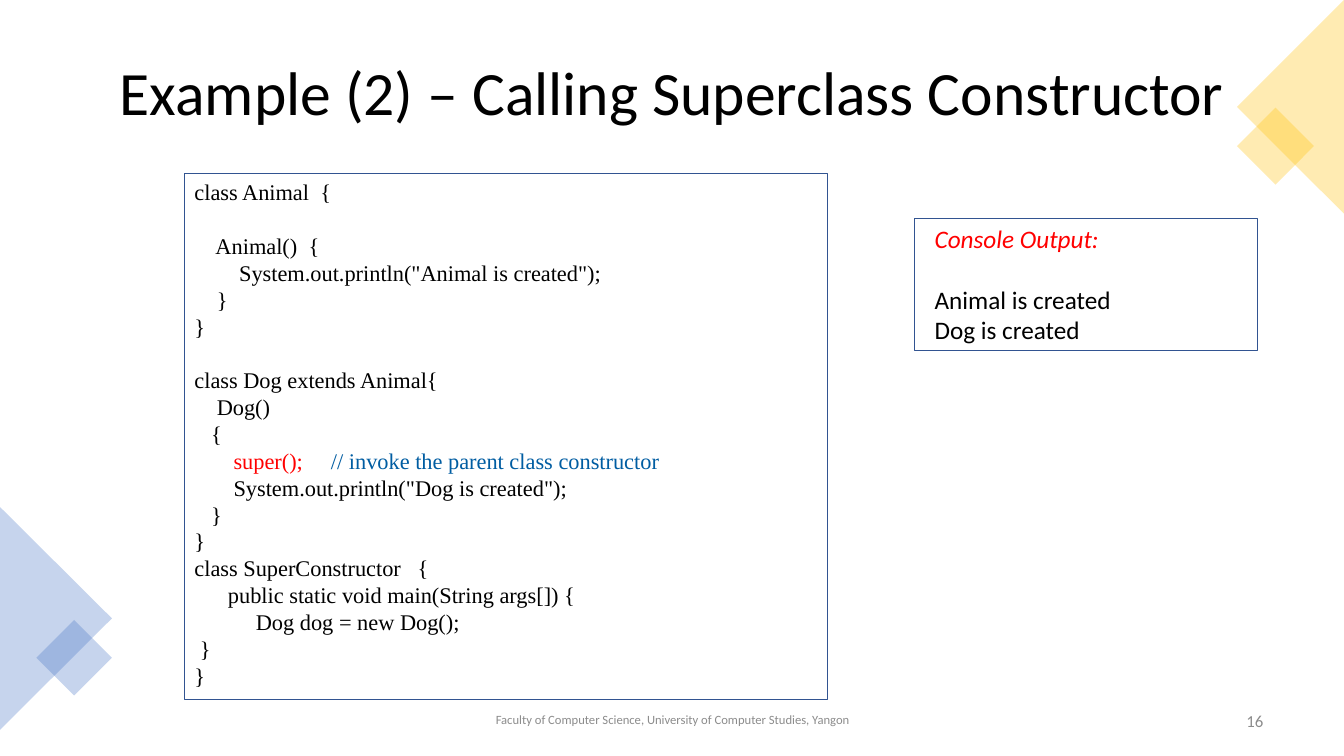
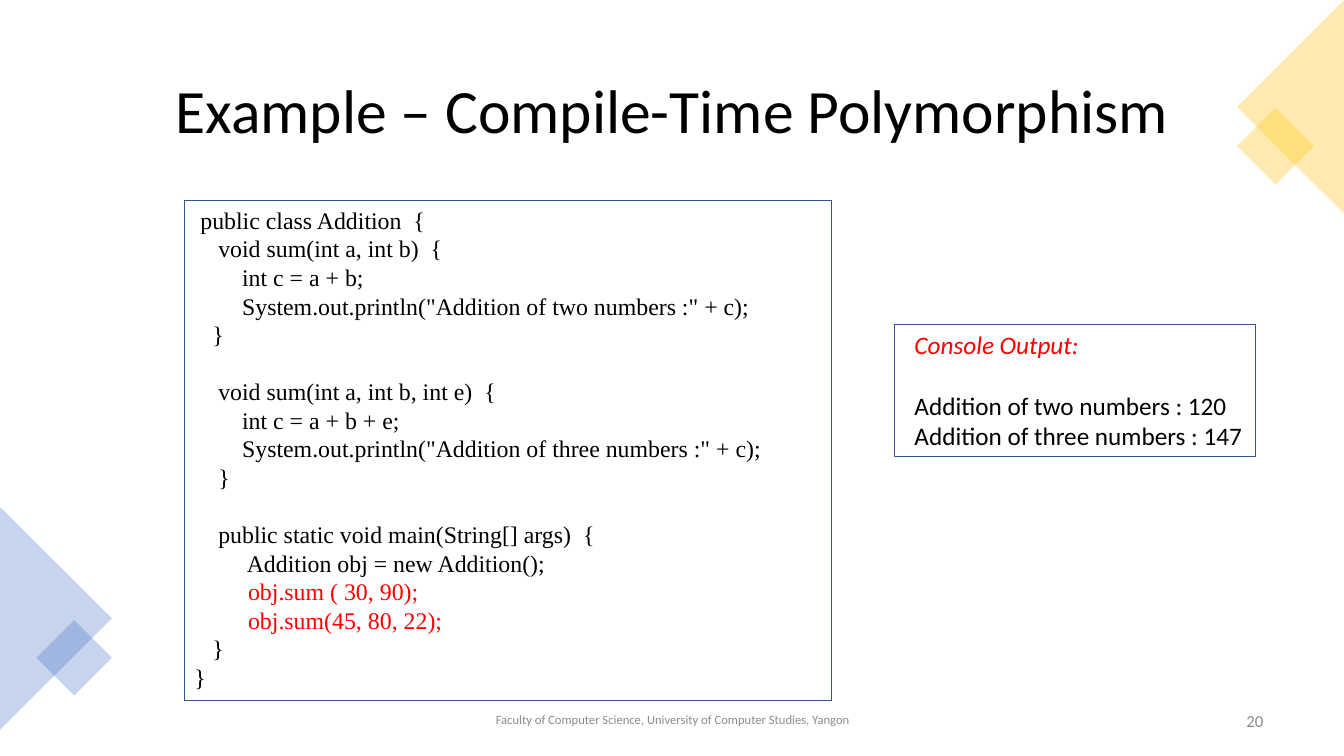
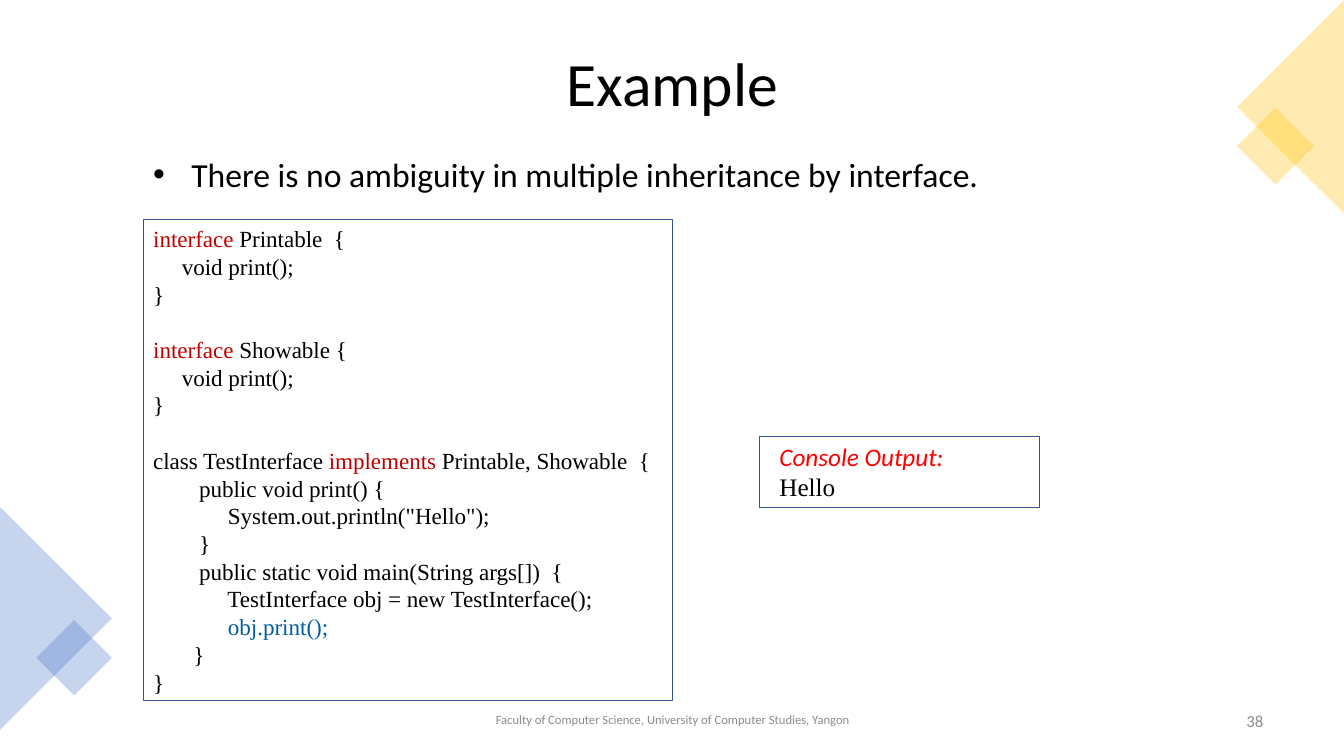
from dataclasses import dataclass

from lxml import etree
from pptx import Presentation
from pptx.dml.color import RGBColor
from pptx.enum.shapes import MSO_SHAPE
from pptx.enum.text import MSO_ANCHOR, MSO_AUTO_SIZE, PP_ALIGN
from pptx.oxml.ns import qn
from pptx.shapes.autoshape import Shape
from pptx.slide import Slide
from pptx.text.text import TextFrame, _Paragraph
from pptx.util import Inches, Pt

TRIANGLE, RECTANGLE = MSO_SHAPE.ISOSCELES_TRIANGLE, MSO_SHAPE.RECTANGLE
LEFT, CENTER, RIGHT = PP_ALIGN.LEFT, PP_ALIGN.CENTER, PP_ALIGN.RIGHT
TOP, MIDDLE = MSO_ANCHOR.TOP, MSO_ANCHOR.MIDDLE
NO_AUTOFIT = MSO_AUTO_SIZE.NONE

BLACK, GRAY, RED, DARK_RED = "000000", "8C8C8C", "FF0000", "C00000"
COMMENT_BLUE, BORDER_BLUE = "005DA2", "325491"
CORNER_BLUE, CORNER_YELLOW = "4472C4", "FFC000"
SANS, SERIF = "Calibri", "Times New Roman"
LINE_HEIGHT = 1.2
TITLE_ONLY = 5
FOOTER = "Faculty of Computer Science, University of Computer Studies, Yangon"


@dataclass(frozen=True)
class Box:
    """A place on the slide, in inches."""
    left: float
    top: float
    width: float
    height: float


@dataclass(frozen=True)
class Span:
    """A piece of a line with one look."""
    text: str
    color: str = BLACK
    italic: bool = False


@dataclass(frozen=True)
class Line:
    """A paragraph; gap leaves one line free above it."""
    spans: tuple[Span, ...]
    gap: bool = False
    font: str | None = None


@dataclass(frozen=True)
class Style:
    """The look of a block of text."""
    font: str
    size: float
    alignment: PP_ALIGN = LEFT
    line_spacing: float | None = None
    space_after: float = 0


@dataclass(frozen=True)
class CornerPart:
    """One translucent shape of a corner ornament."""
    preset: MSO_SHAPE
    box: Box
    rotation: float


@dataclass(frozen=True)
class Example:
    """The content of one slide."""
    number: int
    title: str
    title_height: float
    code_box: Box
    code_size: float
    code: tuple[Line, ...]
    output_box: Box
    output: tuple[Line, ...]
    code_bottom_inset: float = 0.05
    point: str = ""


def line(text: str, color: str = BLACK, gap: bool = False, font: str | None = None) -> Line:
    """Make a line of one colour."""
    return Line((Span(text, color),), gap, font)


TITLE_STYLE = Style(SANS, 44, CENTER, 0.9)
FOOTER_STYLE = Style(SANS, 9, CENTER, 0.9, 6)
NUMBER_STYLE = Style(SANS, 12, RIGHT, None, 6)
OUTPUT_STYLE = Style(SANS, 18)
POINT_STYLE = Style(SANS, 24)
OUTPUT_HEADING = Line((Span("Console Output:", RED, True),))

CORNERS = {
    CORNER_BLUE: (
        CornerPart(TRIANGLE, Box(-0.55, 5.58, 2.21, 1.11), 90),
        CornerPart(RECTANGLE, Box(0.47, 6.26, 0.53, 0.53), 45),
    ),
    CORNER_YELLOW: (
        CornerPart(RECTANGLE, Box(12.38, 1.18, 0.54, 0.54), 45),
        CornerPart(TRIANGLE, Box(11.74, 0.53, 2.12, 1.06), 270),
    ),
}

EXAMPLES = (
    Example(
        16, "Example (2) – Calling Superclass Constructor", 1.09,
        Box(1.83, 1.72, 6.38, 5.22), 16,
        (
            line("class Animal  {"),
            line("    Animal()  {", gap=True),
            line('        System.out.println("Animal is created");'),
            line("    }"),
            line("}"),
            line("class Dog extends Animal{", gap=True),
            line("    Dog()"),
            line("   {"),
            Line((Span("       super();     ", RED),
                  Span("// invoke the parent class constructor", COMMENT_BLUE))),
            line('       System.out.println("Dog is created");'),
            line("   }"),
            line("}"),
            line("class SuperConstructor   {"),
            line("      public static void main(String args[]) {"),
            line("           Dog dog = new Dog();"),
            line(" }"),
            line("}"),
        ),
        Box(9.07, 2.17, 3.4, 1.31),
        (line("Animal is created", gap=True), line("Dog is created")),
    ),
    Example(
        20, "Example – Compile-Time Polymorphism", 1.45,
        Box(1.83, 1.99, 6.42, 4.96), 17,
        (
            line(" public class Addition  {"),
            line("    void sum(int a, int b)  {"),
            line("        int c = a + b;"),
            line('        System.out.println("Addition of two numbers :" + c);'),
            line("   }"),
            line("    void sum(int a, int b, int e)  {", gap=True),
            line("        int c = a + b + e;"),
            line('        System.out.println("Addition of three numbers :" + c);'),
            line("    }"),
            line("    public static void main(String[] args)  {", gap=True),
            line("         Addition obj = new Addition();"),
            line("         obj.sum ( 30, 90);", RED),
            line("         obj.sum(45, 80, 22);", RED),
            line("   }"),
            line("}"),
        ),
        Box(8.87, 3.22, 3.58, 1.31),
        (line("Addition of two numbers : 120", gap=True),
         line("Addition of three numbers : 147")),
    ),
    Example(
        38, "Example", 0.91,
        Box(1.42, 2.18, 5.25, 4.77), 16.5,
        (
            Line((Span("interface", DARK_RED), Span(" Printable  {"))),
            line("     void print();"),
            line("}"),
            Line((Span("interface", DARK_RED), Span(" Showable {")), gap=True),
            line("     void print();"),
            line("}"),
            Line((Span("class TestInterface "), Span("implements", DARK_RED),
                  Span(" Printable, Showable  {")), gap=True),
            line("        public void print() {"),
            line('             System.out.println("Hello");'),
            line("        }"),
            line("        public static void main(String args[])  {"),
            line("             TestInterface obj = new TestInterface();"),
            line("             obj.print();", COMMENT_BLUE),
            line("       }"),
            line("}"),
        ),
        Box(7.53, 4.33, 2.78, 0.71),
        (line("Hello", font=SERIF),),
        code_bottom_inset=0,
        point="There is no ambiguity in multiple inheritance by interface.",
    ),
)


def rgb(color: str) -> RGBColor:
    """Turn a hex string into a colour."""
    return RGBColor.from_string(color)


def place(box: Box) -> tuple[Inches, Inches, Inches, Inches]:
    """Give a box as lengths."""
    return Inches(box.left), Inches(box.top), Inches(box.width), Inches(box.height)


def write(frame: TextFrame, lines: tuple[Line, ...], style: Style,
          anchor: MSO_ANCHOR = TOP) -> None:
    """Write lines into a text frame, run by run."""
    frame.word_wrap = True
    frame.auto_size = NO_AUTOFIT
    frame.vertical_anchor = anchor
    for index, content in enumerate(lines):
        paragraph = frame.add_paragraph() if index else frame.paragraphs[0]
        paragraph.alignment = style.alignment
        paragraph.space_before = Pt(style.size * LINE_HEIGHT if content.gap else 0)
        paragraph.space_after = Pt(style.space_after)
        if style.line_spacing:
            paragraph.line_spacing = style.line_spacing
        for span in content.spans:
            run = paragraph.add_run()
            run.text = span.text
            run.font.name = content.font or style.font
            run.font.size = Pt(style.size)
            run.font.italic = span.italic
            run.font.color.rgb = rgb(span.color)


def add_text(slide: Slide, box: Box, text: str, style: Style, color: str = BLACK,
             anchor: MSO_ANCHOR = TOP) -> Shape:
    """Add a text box of one line."""
    shape = slide.shapes.add_textbox(*place(box))
    write(shape.text_frame, (line(text, color),), style, anchor)
    return shape


def add_bullet(paragraph: _Paragraph, indent: float) -> None:
    """Give a paragraph a round bullet and a hanging indent."""
    properties = paragraph._p.get_or_add_pPr()
    properties.set("marL", str(Inches(indent)))
    properties.set("indent", str(-Inches(indent)))
    etree.SubElement(properties, qn("a:buFont"), typeface="Arial")
    etree.SubElement(properties, qn("a:buChar"), char="•")


def add_corner(slide: Slide, color: str, parts: tuple[CornerPart, ...]) -> None:
    """Draw a corner ornament as a group of translucent shapes."""
    group = slide.shapes.add_group_shape()
    for part in parts:
        shape = group.shapes.add_shape(part.preset, *place(part.box))
        shape.rotation = part.rotation
        shape.shadow.inherit = False
        shape.fill.solid()
        shape.fill.fore_color.rgb = rgb(color)
        fill_color = shape._element.spPr.find(".//" + qn("a:srgbClr"))
        etree.SubElement(fill_color, qn("a:alpha"), val="30000")
        shape.line.fill.background()


def add_panel(slide: Slide, box: Box, lines: tuple[Line, ...], style: Style,
              left_inset: float = 0.1, bottom_inset: float = 0.05) -> None:
    """Add an outlined box of text."""
    shape = slide.shapes.add_shape(RECTANGLE, *place(box))
    shape.shadow.inherit = False
    shape.fill.background()
    shape.line.color.rgb = rgb(BORDER_BLUE)
    shape.line.width = Pt(0.75)
    shape.text_frame.margin_left = Inches(left_inset)
    shape.text_frame.margin_bottom = Inches(bottom_inset)
    write(shape.text_frame, lines, style)


def add_frame(slide: Slide, example: Example) -> None:
    """Add the corners, footer, number and title that all slides share."""
    for color, parts in CORNERS.items():
        add_corner(slide, color, parts)
    add_text(slide, Box(4.42, 6.95, 4.5, 0.4), FOOTER, FOOTER_STYLE, GRAY, MIDDLE)
    add_text(slide, Box(9.63, 6.95, 3, 0.4), str(example.number), NUMBER_STYLE, GRAY, MIDDLE)
    title = slide.shapes.title
    title.left, title.top, title.width, title.height = place(
        Box(0.92, 0.4, 11.5, example.title_height))
    write(title.text_frame, (line(example.title),), TITLE_STYLE, MIDDLE)


def add_example(slide: Slide, example: Example) -> None:
    """Fill a slide with its code and console output."""
    add_frame(slide, example)
    add_panel(slide, example.code_box, example.code, Style(SERIF, example.code_size),
              bottom_inset=example.code_bottom_inset)
    add_panel(slide, example.output_box, (OUTPUT_HEADING, *example.output),
              OUTPUT_STYLE, left_inset=0.2)
    if example.point:
        point = add_text(slide, Box(1.42, 1.48, 10.4, 0.5), example.point, POINT_STYLE)
        add_bullet(point.text_frame.paragraphs[0], 0.38)


def main() -> None:
    """Build and save the presentation."""
    presentation = Presentation()
    presentation.slide_width = Inches(13.33)
    presentation.slide_height = Inches(7.5)
    for example in EXAMPLES:
        slide = presentation.slides.add_slide(presentation.slide_layouts[TITLE_ONLY])
        add_example(slide, example)
    presentation.save("out.pptx")


if __name__ == "__main__":
    main()
